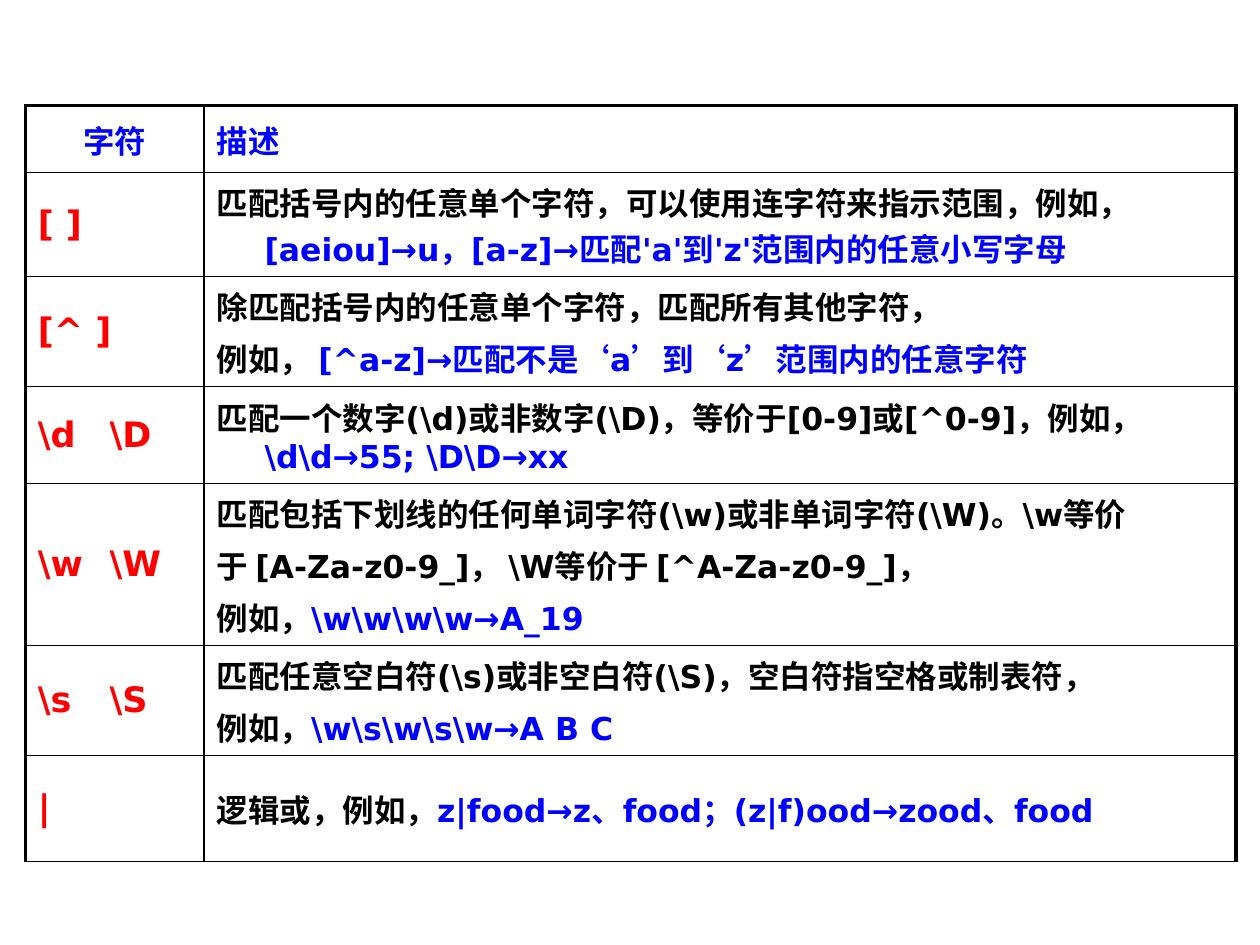
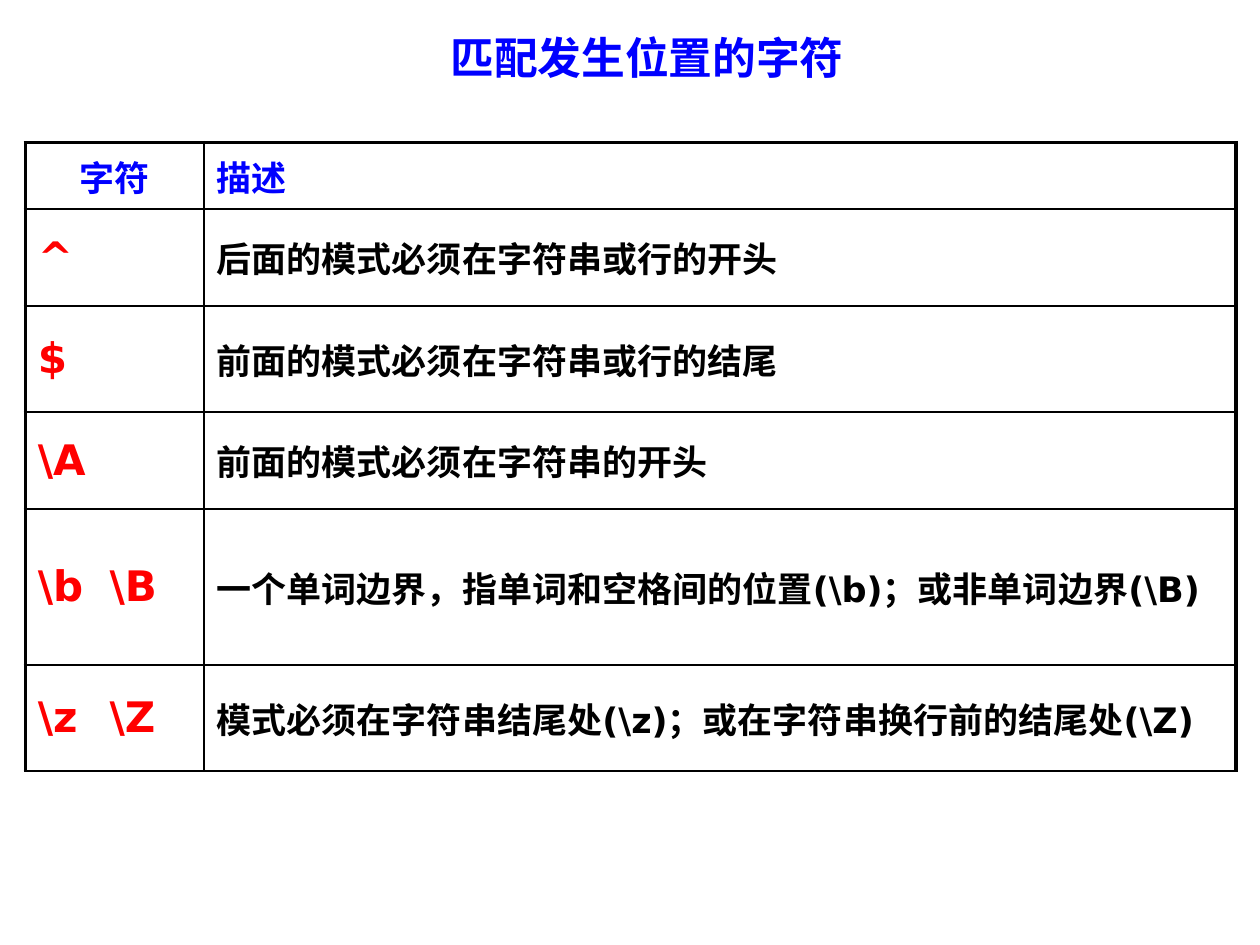
import pptx
import pptx.util
import pptx.dml.color
import pptx.enum.text
import pptx.oxml.ns
import lxml.etree

Inches, Pt = pptx.util.Inches, pptx.util.Pt
ALIGN, ANCHOR = pptx.enum.text.PP_ALIGN, pptx.enum.text.MSO_ANCHOR
qn = pptx.oxml.ns.qn

COLORS = {"heading": "0000FF", "symbol": "FF0000", "text": "000000",
          "example": "0000FF", "rule": "000000"}
FONT = "DejaVu Sans"
TITLE_ONLY, BLANK = 5, 6
HEADINGS = ("字符", "描述")
HANG, SYMBOL_HANG = 0.38, 0.57   # the second symbol of a pair sits at the hang
OUTER, INNER = 2, 1              # rule widths in points


class Deck:
    """Holds the shared style and the current slide."""

    def __init__(self):
        self.prs = pptx.Presentation()
        self.prs.slide_width, self.prs.slide_height = Inches(10), Inches(7.5)
        self.slide = None

    def add_slide(self, layout):
        self.slide = self.prs.slides.add_slide(self.prs.slide_layouts[layout])

    def run(self, paragraph, text, color, size):
        run = paragraph.add_run()
        run.text = text
        run.font.name, run.font.size, run.font.bold = FONT, Pt(size), True
        run.font.color.rgb = pptx.dml.color.RGBColor.from_string(COLORS[color])

    def title(self, text, left, top, width, height, size):
        title = self.slide.shapes.title
        title.left, title.top = Inches(left), Inches(top)
        title.width, title.height = Inches(width), Inches(height)
        frame = title.text_frame
        frame.auto_size = pptx.enum.text.MSO_AUTO_SIZE.NONE
        frame.vertical_anchor = ANCHOR.MIDDLE
        frame.paragraphs[0].alignment = ALIGN.CENTER
        self.run(frame.paragraphs[0], text, "heading", size)

    def borders(self, cell, **widths):
        props = cell._tc.get_or_add_tcPr()
        for index, side in enumerate("LRTB"):
            line = lxml.etree.Element(qn(f"a:ln{side}"), w=str(Pt(widths.get(side, INNER))))
            fill = lxml.etree.SubElement(line, qn("a:solidFill"))
            lxml.etree.SubElement(fill, qn("a:srgbClr"), val=COLORS["rule"])
            props.insert(index, line)

    def cell(self, cell, paragraphs, size, hang=HANG, spaced=False, align=None):
        cell.fill.background()
        cell.vertical_anchor = ANCHOR.MIDDLE
        frame = cell.text_frame
        for index, runs in enumerate(paragraphs):
            paragraph = frame.add_paragraph() if index else frame.paragraphs[0]
            props = paragraph._p.get_or_add_pPr()
            props.set("marL", str(Inches(hang)))
            props.set("indent", str(-Inches(hang)))
            if align is not None:
                paragraph.alignment = align
            if spaced:
                before = lxml.etree.SubElement(props, qn("a:spcBef"))
                lxml.etree.SubElement(before, qn("a:spcPct"), val="20000")
            for text, color in runs:
                self.run(paragraph, text, color, size)

    def pattern_table(self, top, heights, entries, size, symbol_size):
        table = self.slide.shapes.add_table(
            len(heights), 2, Inches(0.2), Inches(top), Inches(9.61), Inches(sum(heights))).table
        table.first_row = table.horz_banding = False
        for column, width in zip(table.columns, (1.42, 8.19)):
            column.width = Inches(width)
        for row, height in zip(table.rows, heights):
            row.height = Inches(height)

        # Header row
        for column, (heading, align) in enumerate(zip(HEADINGS, (ALIGN.CENTER, None))):
            self.cell(table.cell(0, column), [[(heading, "heading")]], size, align=align)

        # Symbol and description rows
        for row, (symbol, spaced, paragraphs) in enumerate(entries, 1):
            self.cell(table.cell(row, 0), [[(symbol, "symbol")]], symbol_size, SYMBOL_HANG)
            self.cell(table.cell(row, 1), paragraphs, size, spaced=spaced)

        # Thick rules on the left, right and top edges
        for row in range(len(heights)):
            top_width = INNER if row else OUTER
            self.borders(table.cell(row, 0), L=OUTER, T=top_width)
            self.borders(table.cell(row, 1), R=OUTER, T=top_width)


def text(words):
    return words, "text"


def example(words):
    return words, "example"


# Each entry: symbol, space before paragraphs, paragraphs of runs
CHARACTER_CLASSES = [
    ("[ ]", True, [[text("匹配括号内的任意单个字符，可以使用连字符来指示范围，例如，"),
                    example("[aeiou]→u，[a-z]→匹配'a'到'z'范围内的任意小写字母")]]),
    ("[^ ]", True, [[text("除匹配括号内的任意单个字符，匹配所有其他字符，")],
                    [text("例如， "), example("[^a-z]→匹配不是‘a’到‘z’范围内的任意字符")]]),
    ("\\d\t\\D", False, [[text("匹配一个数字(\\d)或非数字(\\D)，等价于[0-9]或[^0-9]，例如，"),
                          example("\\d\\d→55; \\D\\D→xx")]]),
    ("\\w\t\\W", True, [[text("匹配包括下划线的任何单词字符(\\w)或非单词字符(\\W)。\\w等价")],
                        [text("于 [A-Za-z0-9_]， \\W等价于 [^A-Za-z0-9_]，")],
                        [text("例如，"), example("\\w\\w\\w\\w→A_19")]]),
    ("\\s\t\\S", True, [[text("匹配任意空白符(\\s)或非空白符(\\S)，空白符指空格或制表符，")],
                        [text("例如，"), example("\\w\\s\\w\\s\\w→A B C")]]),
    ("|", True, [[text("逻辑或，例如，"), example("z|food→z、food；(z|f)ood→zood、food")]]),
]
POSITIONS = [
    ("^", True, [[text("后面的模式必须在字符串或行的开头")]]),
    ("$", True, [[text("前面的模式必须在字符串或行的结尾")]]),
    ("\\A", False, [[text("前面的模式必须在字符串的开头")]]),
    ("\\b\t\\B", True, [[text("一个单词边界，指单词和空格间的位置(\\b)；或非单词边界(\\B)")]]),
    ("\\z\t\\Z", True, [[text("模式必须在字符串结尾处(\\z)；或在字符串换行前的结尾处(\\Z)")]]),
]
ROW_HEIGHTS = [0.53, 0.77, 0.84, 0.77, 1.24, 0.84]


def main():
    deck = Deck()

    # Character classes
    deck.add_slide(BLANK)
    deck.pattern_table(0.84, ROW_HEIGHTS + [0.84], CHARACTER_CLASSES, 18, 20)

    # Characters for match positions
    deck.add_slide(TITLE_ONLY)
    deck.title("匹配发生位置的字符", 1.22, 0.13, 7.83, 0.65, 25)
    deck.pattern_table(1.13, ROW_HEIGHTS, POSITIONS, 20, 24)

    deck.prs.save("out.pptx")


if __name__ == "__main__":
    main()
